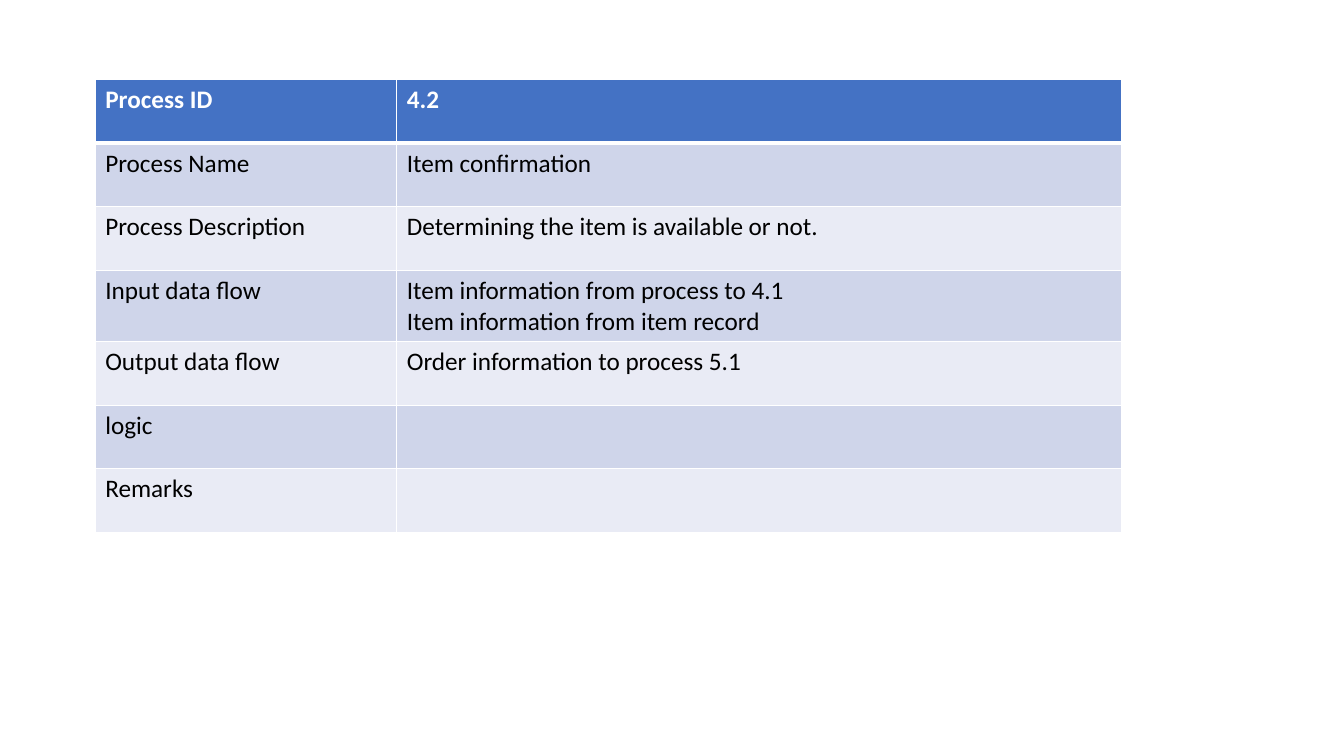
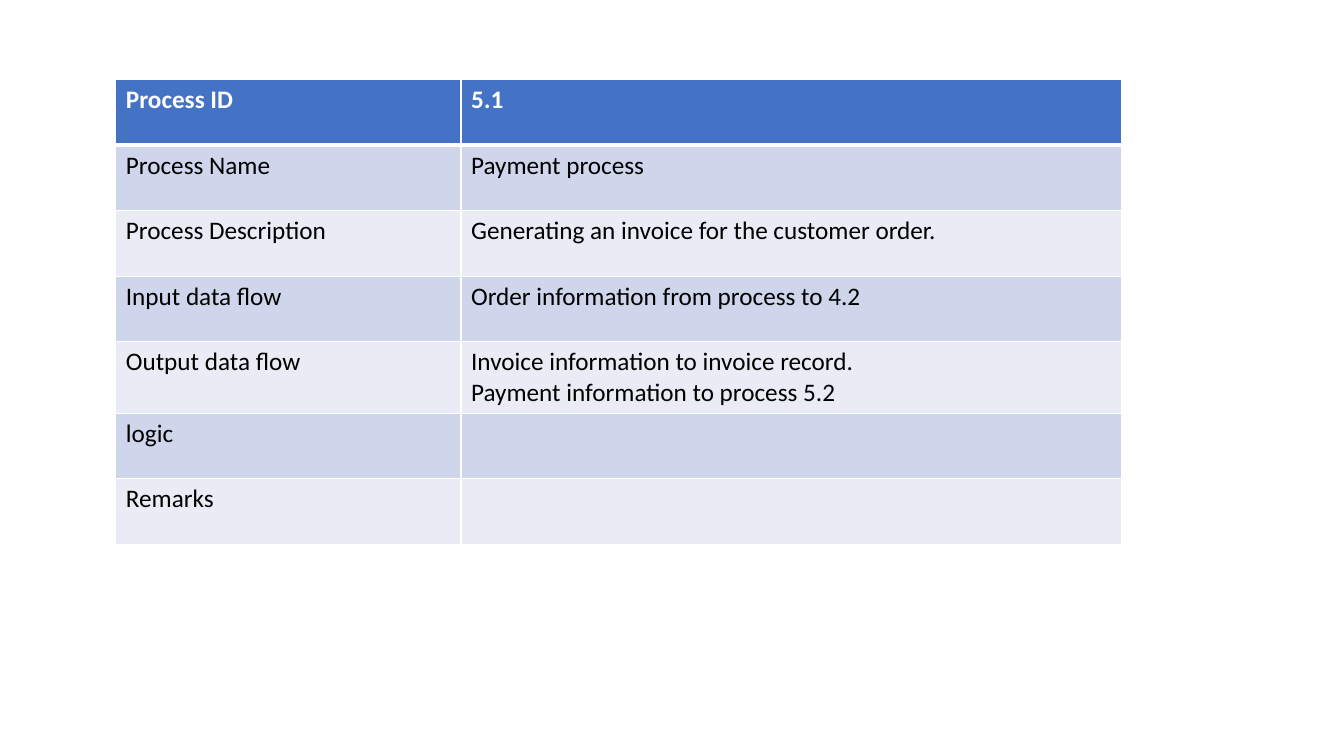
from lxml.etree import SubElement
from pptx import Presentation
from pptx.dml.color import RGBColor
from pptx.oxml.ns import qn
from pptx.util import Cm, Pt


def color(code):
    return RGBColor.from_string(code)


class Deck:
    # Shared style
    font, size = "Calibri", 18
    white, black, blue = "FFFFFF", "000000", "4472C4"
    bands = ("E9EBF5", "CFD5EA")
    thin, thick = 1, 3
    top = 2.01

    def __init__(self):
        self.file = Presentation()
        self.file.slide_width = Cm(33.87)
        self.file.slide_height = Cm(19.05)
        self.slide = None

    def page(self):
        self.slide = self.file.slides.add_slide(self.file.slide_layouts[6])

    def edge(self, cell, side, width):
        line = SubElement(cell._tc.get_or_add_tcPr(), qn("a:ln" + side), w=str(Pt(width)))
        fill = SubElement(line, qn("a:solidFill"))
        SubElement(fill, qn("a:srgbClr"), val=self.white)

    def cell(self, cell, lines, row):
        head = row == 0
        # The rule under the header is thick on both sides of the joint
        widths = {"L": self.thin, "R": self.thin,
                  "T": self.thick if row == 1 else self.thin,
                  "B": self.thick if head else self.thin}
        for side, width in widths.items():
            self.edge(cell, side, width)
        cell.fill.solid()
        cell.fill.fore_color.rgb = color(self.blue if head else self.bands[row % 2])
        frame = cell.text_frame
        for i, line in enumerate(lines):
            para = frame.add_paragraph() if i else frame.paragraphs[0]
            run = para.add_run()
            run.text = line
            run.font.name = self.font
            run.font.size = Pt(self.size)
            run.font.bold = head
            run.font.color.rgb = color(self.white if head else self.black)

    def table(self, left, widths, height, rows):
        table = self.slide.shapes.add_table(
            len(rows), len(widths), Cm(left), Cm(self.top),
            Cm(sum(widths)), Cm(height * len(rows))).table
        for col, width in zip(table.columns, widths):
            col.width = Cm(width)
        for r, (label, lines) in enumerate(rows):
            table.rows[r].height = Cm(height)
            self.cell(table.cell(r, 0), [label], r)
            self.cell(table.cell(r, 1), lines, r)


# Content: row labels, then one process per slide
labels = ["Process ID", "Process Name", "Process Description", "Input data flow",
          "Output data flow", "logic", "Remarks"]
item = [
    ["4.2"],
    ["Item confirmation"],
    ["Determining the item is available or not."],
    ["Item information from process to 4.1", "Item information from item record"],
    ["Order information to process 5.1"],
    [], [],
]
payment = [
    ["5.1"],
    ["Payment process"],
    ["Generating an invoice for the customer order."],
    ["Order information from process to 4.2"],
    ["Invoice information to invoice record.", "Payment information to process 5.2"],
    [], [],
]

# Slides
deck = Deck()
for left, widths, height, values in [
    (2.4, (7.6, 18.27), 1.6, item),
    (2.92, (8.7, 16.65), 1.65, payment),
]:
    deck.page()
    deck.table(left, widths, height, list(zip(labels, values)))

deck.file.save("out.pptx")
